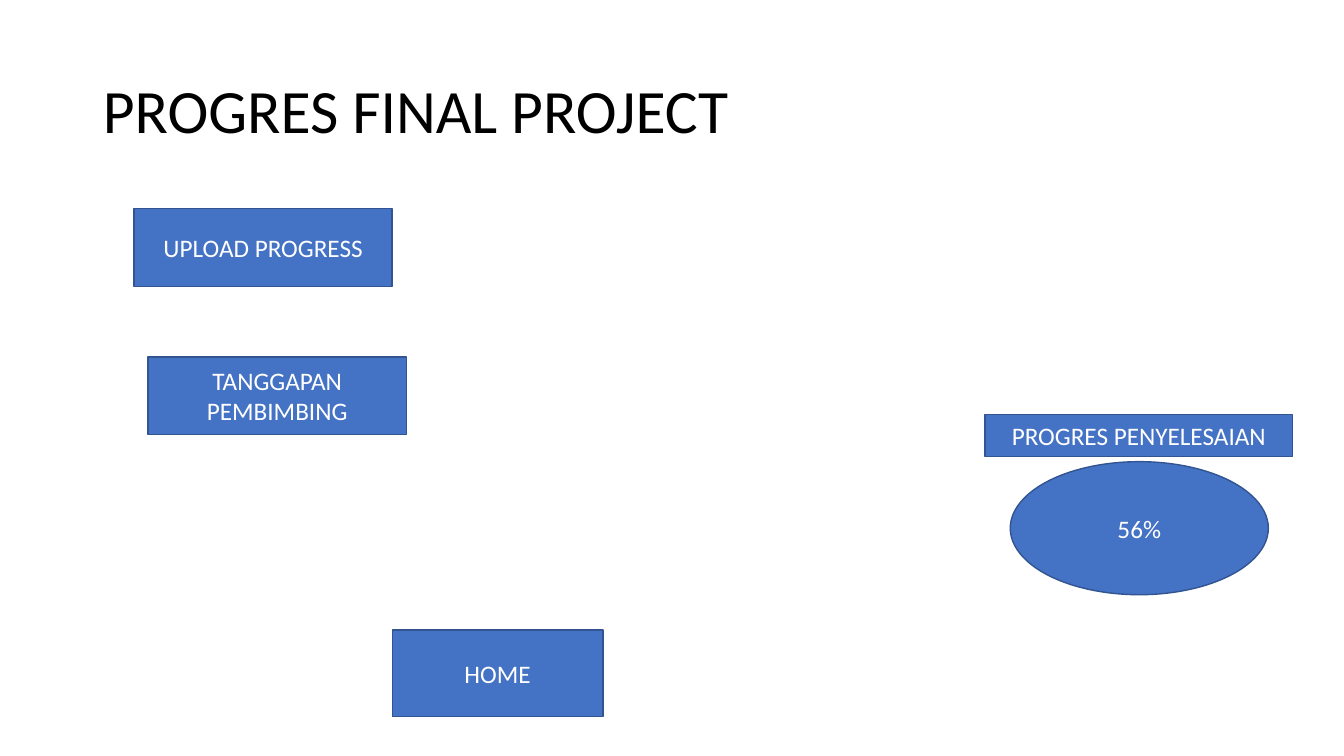
from pptx import Presentation
from pptx.dml.color import RGBColor
from pptx.enum.shapes import MSO_SHAPE
from pptx.enum.text import MSO_ANCHOR, PP_ALIGN
from pptx.util import Inches, Pt

COLORS = {"fill": "4472C4", "line": "325491", "light": "FFFFFF", "dark": "000000"}
TITLE = {"size": Pt(44), "name": "Calibri"}
LABEL = {"size": Pt(18), "name": "Calibri"}
WIDE = 2.56
BOXES = [
    (MSO_SHAPE.RECTANGLE, "UPLOAD PROGRESS", 1.33, 2.07, WIDE, 0.77),
    (MSO_SHAPE.RECTANGLE, "TANGGAPAN PEMBIMBING", 1.47, 3.54, WIDE, 0.77),
    (MSO_SHAPE.OVAL, "56%", 10.02, 4.58, WIDE, 1.32),
    (MSO_SHAPE.RECTANGLE, "PROGRES PENYELESAIAN", 9.77, 4.11, 3.05, 0.42),
    (MSO_SHAPE.RECTANGLE, "HOME", 3.89, 6.25, 2.09, 0.86),
]


def color(key):
    return RGBColor.from_string(COLORS[key])


def write(shape, text, look, ink, align, space):
    frame = shape.text_frame
    frame.word_wrap = True
    frame.vertical_anchor = MSO_ANCHOR.MIDDLE
    para = frame.paragraphs[0]
    para.alignment = align
    para.line_spacing = space
    run = para.add_run()
    run.text = text
    for key, value in look.items():
        setattr(run.font, key, value)
    run.font.color.rgb = color(ink)


def add_title(slide, text):
    title = slide.shapes.title
    spot = {"left": 0.92, "top": 0.4, "width": 11.5, "height": 1.45}
    for key, value in spot.items():
        setattr(title, key, Inches(value))
    write(title, text, TITLE, "dark", PP_ALIGN.LEFT, 0.9)


def add_box(slide, kind, text, *spot):
    box = slide.shapes.add_shape(kind, *map(Inches, spot))
    box.shadow.inherit = False
    box.fill.solid()
    box.fill.fore_color.rgb = color("fill")
    box.line.color.rgb = color("line")
    box.line.width = Pt(1)
    write(box, text, LABEL, "light", PP_ALIGN.CENTER, 1.0)


def main():
    """Build the final project progress slide."""
    deck = Presentation()
    deck.slide_width = Inches(13.33)
    deck.slide_height = Inches(7.5)
    slide = deck.slides.add_slide(deck.slide_layouts[5])
    add_title(slide, "PROGRES FINAL PROJECT")
    for box in BOXES:
        add_box(slide, *box)
    deck.save("out.pptx")


if __name__ == "__main__":
    main()
